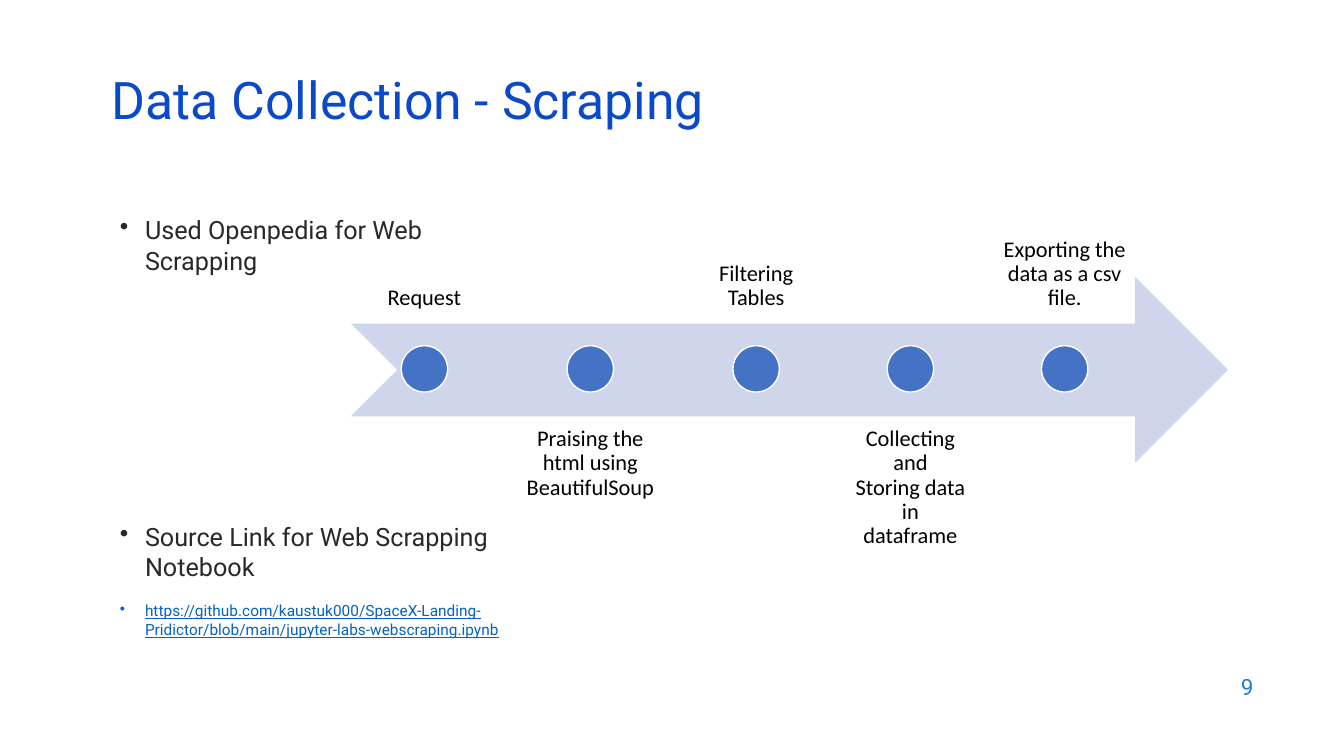
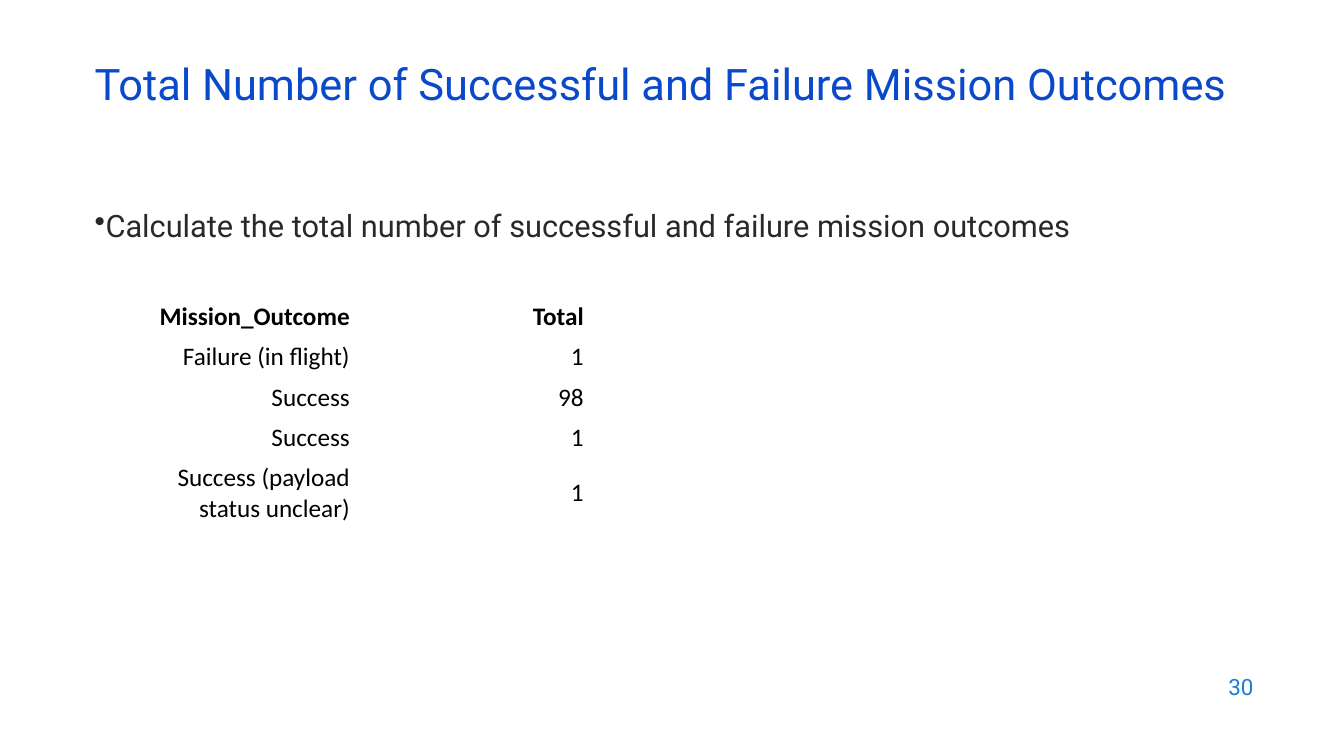
from lxml import etree
from pptx import Presentation
from pptx import util as u
from pptx.dml.color import RGBColor
from pptx.enum import shapes, text
from pptx.oxml import ns

COLORS = {
    "title": "0B49CB", "number": "1C7DDB", "body": "292929",
    "link": "0563C1", "arrow": "CFD5EA", "dot": "4472C4",
    "white": "FFFFFF", "black": "000000",
}
LEFT, CENTER, RIGHT = text.PP_ALIGN.LEFT, text.PP_ALIGN.CENTER, text.PP_ALIGN.RIGHT
TOP, MIDDLE, BOTTOM = text.MSO_ANCHOR.TOP, text.MSO_ANCHOR.MIDDLE, text.MSO_ANCHOR.BOTTOM


def rgb(name):
    return RGBColor.from_string(COLORS[name])


def write(para, words, size=18, font="Roboto", color="body", bold=False,
          underline=False, align=LEFT, line=None, before=0, hang=None):
    if hang is not None:
        props = para._p.get_or_add_pPr()
        props.set("marL", str(u.Inches(hang)))
        props.set("indent", str(-u.Inches(hang)))
        etree.SubElement(props, ns.qn("a:buChar")).set("char", "•")
    para.alignment = align
    if line:
        para.line_spacing = line
    if before:
        para.space_before = u.Pt(before)
    for index, piece in enumerate(words.split("\n")):
        if index:
            para.add_line_break()
        span = para.add_run()
        span.text = piece
        span.font.size = u.Pt(size)
        span.font.name = font
        span.font.bold = bold
        span.font.underline = underline
        span.font.color.rgb = rgb(color)


class Deck:
    def __init__(self):
        self.deck = Presentation()
        self.deck.slide_width = u.Inches(13.33)
        self.deck.slide_height = u.Inches(7.5)
        self.page = None

    def add_page(self, number):
        self.page = self.deck.slides.add_slide(self.deck.slide_layouts[6])
        self.text_box(9.53, 6.59, 3, 0.44, [(str(number), dict(size=16, color="number", align=RIGHT))], MIDDLE)

    def title(self, words, left, top, size):
        self.text_box(left, top, 11.5, 0.6, [(words, dict(size=size, color="title", line=0.7))], MIDDLE)

    def text_box(self, left, top, width, height, items, anchor=TOP, inset=None):
        box = self.page.shapes.add_textbox(*map(u.Inches, (left, top, width, height)))
        frame = box.text_frame
        frame.word_wrap = True
        frame.vertical_anchor = anchor
        if inset is not None:
            frame.margin_left = frame.margin_right = u.Inches(inset)
            frame.margin_top = frame.margin_bottom = u.Inches(inset)
        for index, (words, style) in enumerate(items):
            para = frame.add_paragraph() if index else frame.paragraphs[0]
            write(para, words, **style)

    def shape(self, kind, left, top, width, height, fill, outline=None):
        shape = self.page.shapes.add_shape(kind, *map(u.Inches, (left, top, width, height)))
        shape.shadow.inherit = False
        shape.fill.solid()
        shape.fill.fore_color.rgb = rgb(fill)
        if outline:
            shape.line.color.rgb = rgb(outline)
            shape.line.width = u.Pt(1)
        else:
            shape.line.fill.background()

    def timeline(self, left, top, width, height, steps, gap=0.07):
        dot = height / 4
        self.shape(shapes.MSO_SHAPE.NOTCHED_RIGHT_ARROW, left, top, width, height, "arrow")
        style = dict(size=16, font="Calibri", color="black", align=CENTER, line=0.9)
        for index, (words, step_width) in enumerate(steps):
            below = index % 2
            label_top = top + 3 * dot - 0.01 if below else top - 3 * dot - 0.01
            self.text_box(left, label_top, step_width, height, [(words, style)],
                          TOP if below else BOTTOM, inset=0.12)
            self.shape(shapes.MSO_SHAPE.OVAL, left + (step_width - dot) / 2, top + 1.5 * dot - 0.01,
                       dot, dot, "dot", "white")
            left += step_width + gap

    def table(self, left, top, column_width, row_height, rows):
        columns = len(rows[0])
        frame = self.page.shapes.add_table(
            len(rows), columns, u.Inches(left), u.Inches(top),
            u.Inches(column_width * columns), u.Inches(row_height * len(rows)))
        table = frame.table
        table.horz_banding = False
        for column in table.columns:
            column.width = u.Inches(column_width)
        for row_index, row in enumerate(rows):
            for column_index, words in enumerate(row):
                cell = table.cell(row_index, column_index)
                cell.fill.solid()
                cell.fill.fore_color.rgb = rgb("white")
                cell.vertical_anchor = MIDDLE
                write(cell.text_frame.paragraphs[0], words, font="Calibri", color="black",
                      bold=row_index == 0, align=RIGHT)


def scraping(deck):
    deck.add_page(9)
    deck.text_box(1.09, 2.08, 4.3, 4.17, [
        ("Used Openpedia for Web Scrapping", dict(hang=0.25)),
        ("Source Link for Web Scrapping Notebook", dict(hang=0.25, before=176)),
        ("https://github.com/kaustuk000/SpaceX-Landing-Pridictor/blob/main/jupyter-labs-webscraping.ipynb",
         dict(hang=0.25, before=14, size=11, color="link", underline=True)),
    ])
    deck.title("Data Collection - Scraping", 1.01, 0.76, 37)
    deck.timeline(3.48, 2.75, 8.7, 1.84, [
        ("Request", 1.46),
        ("Praising the html using BeautifulSoup", 1.69),
        ("Filtering\nTables", 1.46),
        ("Collecting\nand\nStoring data in\ndataframe", 1.46),
        ("Exporting the data as a csv file.", 1.46),
    ])


def outcomes(deck):
    deck.add_page(30)
    deck.text_box(0.84, 2, 10.66, 4.76, [
        ("Calculate the total number of successful and failure mission outcomes", dict(size=22, hang=0)),
    ])
    deck.title("Total Number of Successful and Failure Mission Outcomes", 0.84, 0.59, 31)
    deck.table(1.25, 2.94, 2.32, 0.4, [
        ("Mission_Outcome", "Total"),
        ("Failure (in flight)", "1"),
        ("Success", "98"),
        ("Success", "1"),
        ("Success (payload status unclear)", "1"),
    ])


def main():
    deck = Deck()
    scraping(deck)
    outcomes(deck)
    deck.deck.save("out.pptx")


if __name__ == "__main__":
    main()
